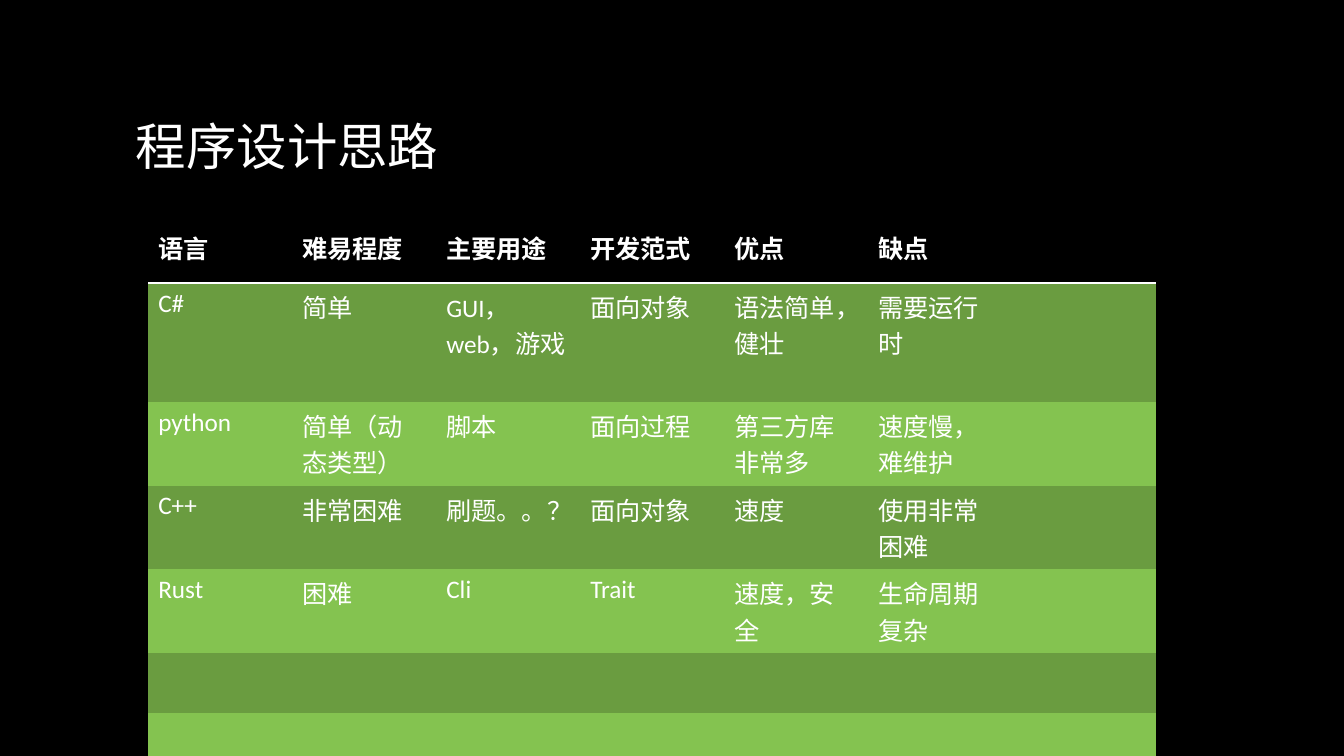
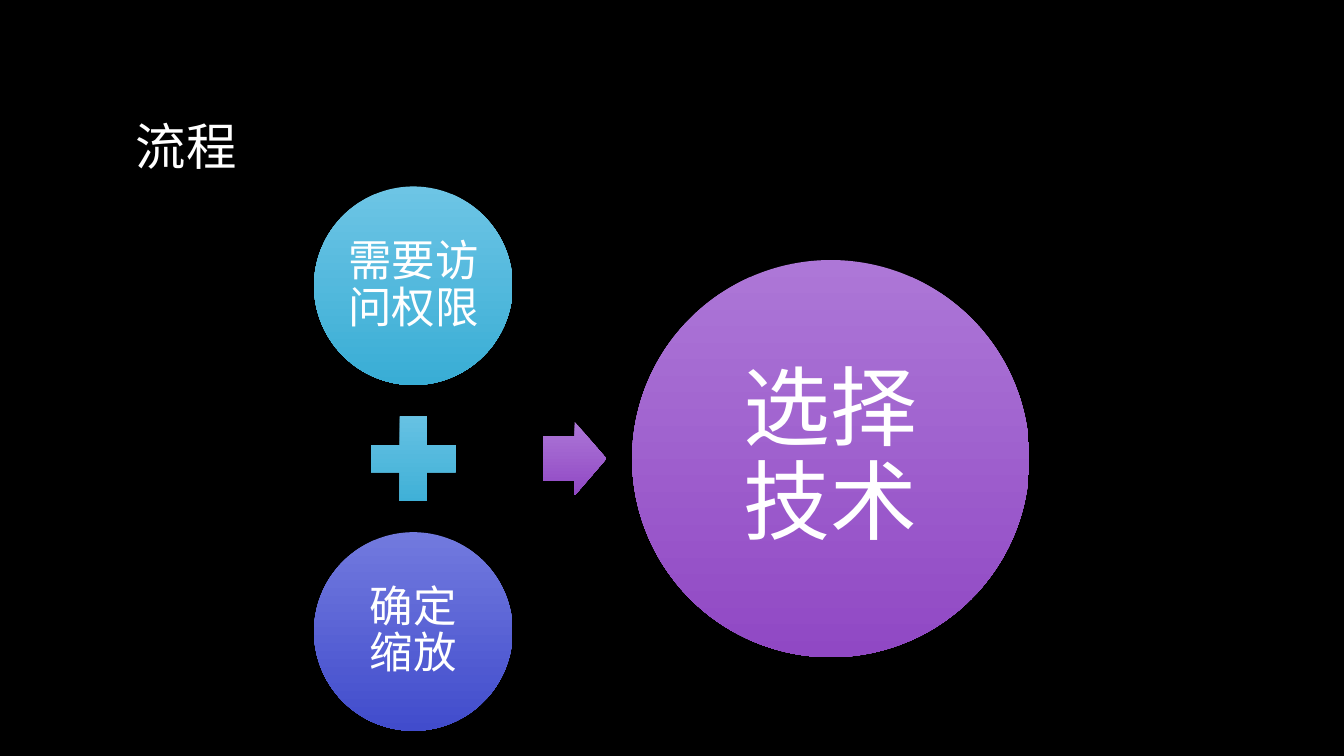
from dataclasses import dataclass

from lxml import etree
from pptx import Presentation
from pptx import util as u
from pptx.dml.color import RGBColor
from pptx.enum import shapes, text
from pptx.oxml import ns


@dataclass(frozen=True)
class Theme:
    background: str = "000000"
    ink: str = "FFFFFF"
    bands: tuple = ("6A9C40", "84C350")
    blue: tuple = ("6DC5E5", "39ADD5")
    indigo: tuple = ("727ADE", "414CCC")
    purple: tuple = ("AD77D7", "9048C4")
    cjk: str = "Noto Sans CJK SC"
    latin: str = "Calibri"
    title_size: int = 36
    table_size: int = 18
    step_size: int = 31
    result_size: int = 62


THEME = Theme()

LANGUAGE_TITLE = "程序设计思路"
LANGUAGES = [
    ("语言", "难易程度", "主要用途", "开发范式", "优点", "缺点", ""),
    ("C#", "简单", "GUI， web，游戏", "面向对象", "语法简单，健壮", "需要运行时", ""),
    ("python", "简单（动态类型）", "脚本", "面向过程", "第三方库非常多", "速度慢，难维护", ""),
    ("C++", "非常困难", "刷题。。？", "面向对象", "速度", "使用非常困难", ""),
    ("Rust", "困难", "Cli", "Trait", "速度，安全", "生命周期复杂", ""),
    ("",) * 7,
    ("",) * 7,
]
ROW_HEIGHTS = [0.59, 1.18] + [0.83] * 3 + [0.59] * 2

FLOW_TITLE = "流程"
FIRST_STEP = ["需要访问权限"]
SECOND_STEP = ["确定", "缩放"]
RESULT = ["选择", "技术"]


def style(para, size, latin, bold=False):
    font = para.font
    font.size = u.Pt(size)
    font.bold = bold
    font.color.rgb = RGBColor.from_string(THEME.ink)
    font.name = latin
    defaults = para._p.pPr.find(ns.qn("a:defRPr"))
    etree.SubElement(defaults, ns.qn("a:ea"), typeface=THEME.cjk)


def add_slide(deck, title):
    page = deck.slides.add_slide(deck.slide_layouts[6])
    page.background.fill.solid()
    page.background.fill.fore_color.rgb = RGBColor.from_string(THEME.background)
    box = page.shapes.add_textbox(
        u.Inches(1.25), u.Inches(0.67), u.Inches(10.83), u.Inches(1.62))
    frame = box.text_frame
    frame.word_wrap = True
    frame.vertical_anchor = text.MSO_ANCHOR.MIDDLE
    para = frame.paragraphs[0]
    para.text = title
    para.line_spacing = 0.9
    style(para, THEME.title_size, THEME.cjk)
    return page


def add_bottom_rule(cell, points):
    line = etree.Element(ns.qn("a:lnB"), w=str(u.Pt(points)))
    fill = etree.SubElement(line, ns.qn("a:solidFill"))
    etree.SubElement(fill, ns.qn("a:srgbClr"), val=THEME.ink)
    cell._tc.get_or_add_tcPr().insert(0, line)


def add_language_table(page):
    frame = page.shapes.add_table(
        len(LANGUAGES), len(LANGUAGES[0]),
        u.Inches(1.47), u.Inches(2.22), u.Inches(10), u.Inches(sum(ROW_HEIGHTS)))
    table = frame.table
    no_style_no_grid = "{2D5ABB26-0587-4C30-8999-92F81FD0307C}"
    table._tbl.tblPr.find(ns.qn("a:tableStyleId")).text = no_style_no_grid
    for index, (row, height) in enumerate(zip(LANGUAGES, ROW_HEIGHTS)):
        header = index == 0
        color = THEME.background if header else THEME.bands[(index - 1) % 2]
        table.rows[index].height = u.Inches(height)
        for column, value in enumerate(row):
            cell = table.cell(index, column)
            cell.text = value
            cell.fill.solid()
            cell.fill.fore_color.rgb = RGBColor.from_string(color)
            style(cell.text_frame.paragraphs[0], THEME.table_size, THEME.latin, header)
            if header:
                add_bottom_rule(cell, 2)


def add_figure(page, kind, center, size, colors):
    (x, y), (width, height) = center, size
    shape = page.shapes.add_shape(
        kind, u.Inches(x - width / 2), u.Inches(y - height / 2),
        u.Inches(width), u.Inches(height))
    shape.shadow.inherit = False
    shape.line.fill.background()
    shape.fill.gradient()
    shape.fill.gradient_angle = 270
    for stop, color in zip(shape.fill.gradient_stops, colors):
        stop.color.rgb = RGBColor.from_string(color)
    return shape


def add_circle(page, center, diameter, colors, lines, size, inset):
    circle = add_figure(page, shapes.MSO_SHAPE.OVAL, center, (diameter, diameter), colors)
    frame = circle.text_frame
    frame.word_wrap = True
    frame.vertical_anchor = text.MSO_ANCHOR.MIDDLE
    frame.margin_left = frame.margin_right = u.Inches(inset)
    frame.margin_top = frame.margin_bottom = u.Inches(inset)
    frame.text = "\n".join(lines)
    for para in frame.paragraphs:
        para.alignment = text.PP_ALIGN.CENTER
        para.line_spacing = 0.9
        style(para, size, THEME.cjk)


def add_flow(page):
    middle, step_x, arrow_x, result_x = 4.55, 4.1, 5.7, 8.24
    diameter, plus, gap = 1.97, 1.14, 0.16
    offset = (diameter + plus) / 2 + gap
    steps = [(-offset, THEME.blue, FIRST_STEP), (offset, THEME.indigo, SECOND_STEP)]
    for shift, colors, lines in steps:
        add_circle(page, (step_x, middle + shift), diameter, colors, lines,
                   THEME.step_size, 0.04)
    add_figure(page, shapes.MSO_SHAPE.MATH_PLUS, (step_x, middle), (plus, plus), THEME.blue)
    arrow = add_figure(page, shapes.MSO_SHAPE.RIGHT_ARROW, (arrow_x, middle),
                       (0.63, 0.73), THEME.purple)
    arrow.adjustments[0] = 0.6
    add_circle(page, (result_x, middle), 2 * diameter, THEME.purple, RESULT,
               THEME.result_size, 0.09)


def main():
    deck = Presentation()
    deck.slide_width = u.Inches(13.33)
    deck.slide_height = u.Inches(7.5)
    add_language_table(add_slide(deck, LANGUAGE_TITLE))
    add_flow(add_slide(deck, FLOW_TITLE))
    deck.save("out.pptx")


if __name__ == "__main__":
    main()
